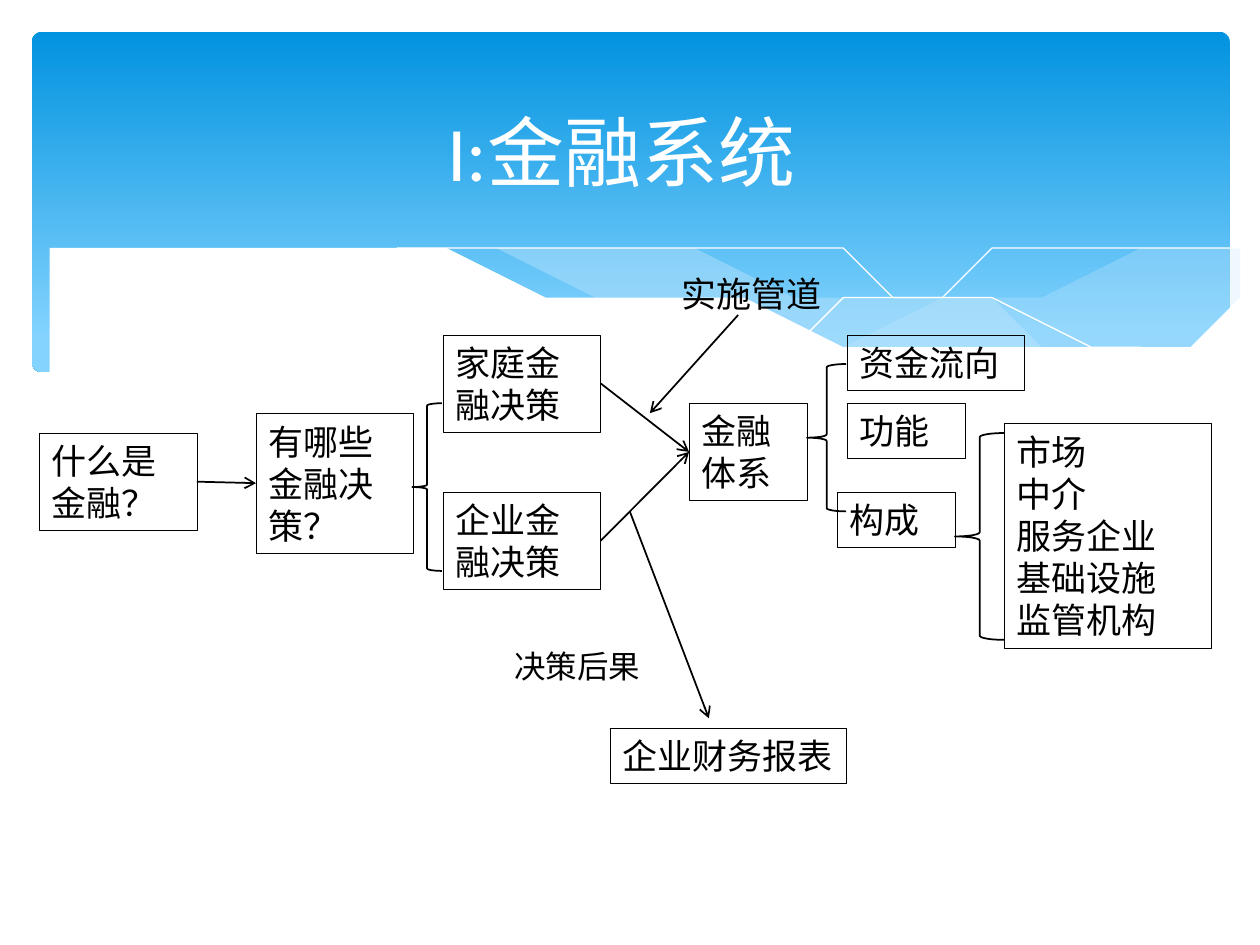
import pptx
import pptx.util
import pptx.dml.color
import pptx.enum.shapes
import pptx.enum.text
import pptx.oxml
import pptx.oxml.ns
import lxml.etree

Cm = pptx.util.Cm
Pt = pptx.util.Pt
rgb = pptx.dml.color.RGBColor.from_string
qn = pptx.oxml.ns.qn
shape_type = pptx.enum.shapes.MSO_SHAPE

COLORS = {
    "sky_top": "0293E0",
    "sky_bottom": "83D3FE",
    "wave": "C6E7FC",
    "white": "FFFFFF",
    "ink": "000000",
}
FONT = "Calibri"

presentation = pptx.Presentation()
presentation.slide_width = Cm(25.4)
presentation.slide_height = Cm(19.05)
slide = presentation.slides.add_slide(presentation.slide_layouts[6])
shapes = slide.shapes


def write(shape, text, size, color, align=pptx.enum.text.PP_ALIGN.LEFT):
    """Fill a shape with one paragraph per line of text."""
    frame = shape.text_frame
    frame.word_wrap = True
    frame.vertical_anchor = pptx.enum.text.MSO_ANCHOR.MIDDLE
    frame.text = text
    for paragraph in frame.paragraphs:
        paragraph.alignment = align
        paragraph.font.size = Pt(size)
        paragraph.font.name = FONT
        paragraph.font.color.rgb = rgb(COLORS[color])


def add_arrow(x1, y1, x2, y2):
    """Draw a thin black line with an open arrowhead at its end."""
    connector = shapes.add_connector(
        pptx.enum.shapes.MSO_CONNECTOR.STRAIGHT, Cm(x1), Cm(y1), Cm(x2), Cm(y2))
    connector.line.color.rgb = rgb(COLORS["ink"])
    connector.line.width = Pt(1)
    line = connector.line._get_or_add_ln()
    lxml.etree.SubElement(line, qn("a:tailEnd"), type="arrow")
    lxml.etree.SubElement(connector._element.spPr, qn("a:effectLst"))
    return connector


# Blue header
header = shapes.add_shape(
    shape_type.ROUNDED_RECTANGLE, Cm(0.64), Cm(0.64), Cm(24.15), Cm(6.86))
header.adjustments[0] = 0.03
header.shadow.inherit = False
header.line.fill.background()
header.fill.gradient()
header.fill.gradient_angle = 270
for stop, color, position in zip(
        header.fill.gradient_stops, ("sky_top", "sky_bottom"), (0, 0.9)):
    stop.color.rgb = rgb(COLORS[color])
    stop.position = position

# Waves: fill colour, opacity in percent, outline points in cm
# (without a fill colour the wave is an open white hairline)
waves = [
    ("wave", 29, [
        (24.79, 5.08), (23.75, 5.26), (22.63, 5.49), (21.13, 5.84), (19.13, 6.3),
        (16.79, 6.73), (17.91, 6.88), (18.92, 6.99), (20.4, 7.06), (21.69, 7.01),
        (22.78, 6.86), (23.75, 6.65), (24.79, 6.27)]),
    ("wave", 40, [
        (22.68, 6.93), (21.26, 6.73), (19.69, 6.45), (17.93, 6.1), (15.98, 5.64),
        (14.45, 5.28), (13.06, 5.03), (11.81, 4.85), (10.67, 4.75), (9.17, 4.7),
        (7.95, 4.78), (7.26, 4.85), (8.69, 5.05), (10.26, 5.36), (12.47, 5.89),
        (14.38, 6.3), (16.1, 6.63), (17.65, 6.86), (19, 7.01), (20.5, 7.06),
        (21.77, 7.04)]),
    (None, 100, [
        (7.85, 4.95), (8.74, 4.83), (9.83, 4.75), (11, 4.75), (12.42, 4.83),
        (14.12, 5), (15.44, 5.18), (16.89, 5.41), (18.47, 5.74), (20.19, 6.12),
        (22.07, 6.63), (23.04, 6.91)]),
    (None, 100, [
        (15.57, 6.53), (17.07, 6.12), (19, 5.66), (20.47, 5.33), (22, 5.05),
        (23.11, 4.88), (24.16, 4.75), (24.77, 4.7)]),
    ("white", 100, [
        (24.82, 6.25), (23.88, 6.58), (22.83, 6.83), (21.59, 6.99), (20.55, 7.04),
        (18.9, 6.96), (16.97, 6.73), (15.32, 6.45), (13.44, 6.07), (11.35, 5.59),
        (9.27, 5.13), (7.42, 4.83), (6.35, 4.72), (4.9, 4.67), (3.71, 4.7),
        (2.69, 4.8), (1.93, 4.95), (1.17, 5.16), (0.58, 5.41), (0.58, 8.36),
        (24.82, 8.36)]),
]
for color, opacity, points in waves:
    builder = shapes.build_freeform(*points[0], scale=Cm(1))
    builder.add_line_segments(points[1:], close=color is not None)
    wave = builder.convert_to_shape()
    wave.shadow.inherit = False
    if color is None:
        wave.fill.background()
        wave.line.color.rgb = rgb(COLORS["white"])
        wave.line.width = Pt(0)
        continue
    wave.line.fill.background()
    wave.fill.solid()
    wave.fill.fore_color.rgb = rgb(COLORS[color])
    if opacity < 100:
        fill_color = wave._element.spPr.find(qn("a:solidFill"))[0]
        lxml.etree.SubElement(fill_color, qn("a:alpha"), val=str(opacity * 1000))

# Title
title = shapes.add_textbox(Cm(1.1), Cm(1.93), Cm(22.86), Cm(2.2))
write(title, "I:金融系统", 44, "white", pptx.enum.text.PP_ALIGN.CENTER)

# Boxes: text, left, top, width, height in cm
boxes = {}
for text, left, top, width, height in [
    ("什么是金融？", 0.79, 8.73, 3.18, 1.96),
    ("有哪些金融决策？", 5.16, 8.33, 3.18, 2.82),
    ("家庭金融决策", 8.93, 6.75, 3.18, 1.96),
    ("企业金融决策", 8.93, 9.92, 3.18, 1.96),
    ("金融体系", 13.89, 8.13, 2.38, 1.96),
    ("资金流向", 17.07, 6.75, 3.57, 1.11),
    ("功能", 17.07, 8.13, 2.38, 1.11),
    ("构成", 16.87, 9.92, 2.38, 1.11),
    ("市场\n中介\n服务企业\n基础设施\n监管机构", 20.24, 8.53, 4.17, 4.53),
    ("企业财务报表", 12.3, 14.68, 4.76, 1.11),
]:
    box = shapes.add_shape(
        shape_type.RECTANGLE, Cm(left), Cm(top), Cm(width), Cm(height))
    box.shadow.inherit = False
    box.fill.background()
    box.line.color.rgb = rgb(COLORS["ink"])
    box.line.width = Pt(0.25)
    write(box, text, 20, "ink")
    boxes[text] = box

# Braces: left, top, width, height in cm, fill colour
for left, top, width, height, color in [
    (8.31, 8.13, 0.6, 3.38, "white"),
    (16.27, 7.34, 0.79, 2.97, None),
    (19.25, 8.73, 1, 4.17, None),
]:
    brace = shapes.add_shape(
        shape_type.LEFT_BRACE, Cm(left), Cm(top), Cm(width), Cm(height))
    brace.shadow.inherit = False
    brace.line.color.rgb = rgb(COLORS["ink"])
    brace.line.width = Pt(1)
    if color:
        brace.fill.solid()
        brace.fill.fore_color.rgb = rgb(COLORS[color])
    else:
        brace.fill.background()

# Arrows between boxes, from right side to left side
for source, target in [
    ("什么是金融？", "有哪些金融决策？"),
    ("家庭金融决策", "金融体系"),
    ("企业金融决策", "金融体系"),
]:
    connector = add_arrow(0, 0, 1, 1)
    connector.begin_connect(boxes[source], 3)
    connector.end_connect(boxes[target], 1)

# Arrows tied to the captions
add_arrow(14.88, 6.35, 13.1, 8.33)
add_arrow(12.7, 10.32, 14.29, 14.48)

# Captions
for text, left, top, width, height, size in [
    ("实施管道", 13.49, 5.36, 3.57, 1.11, 20),
    ("决策后果", 10.12, 12.9, 3.37, 1.03, 18),
]:
    caption = shapes.add_textbox(Cm(left), Cm(top), Cm(width), Cm(height))
    write(caption, text, size, "ink")

presentation.save("out.pptx")
